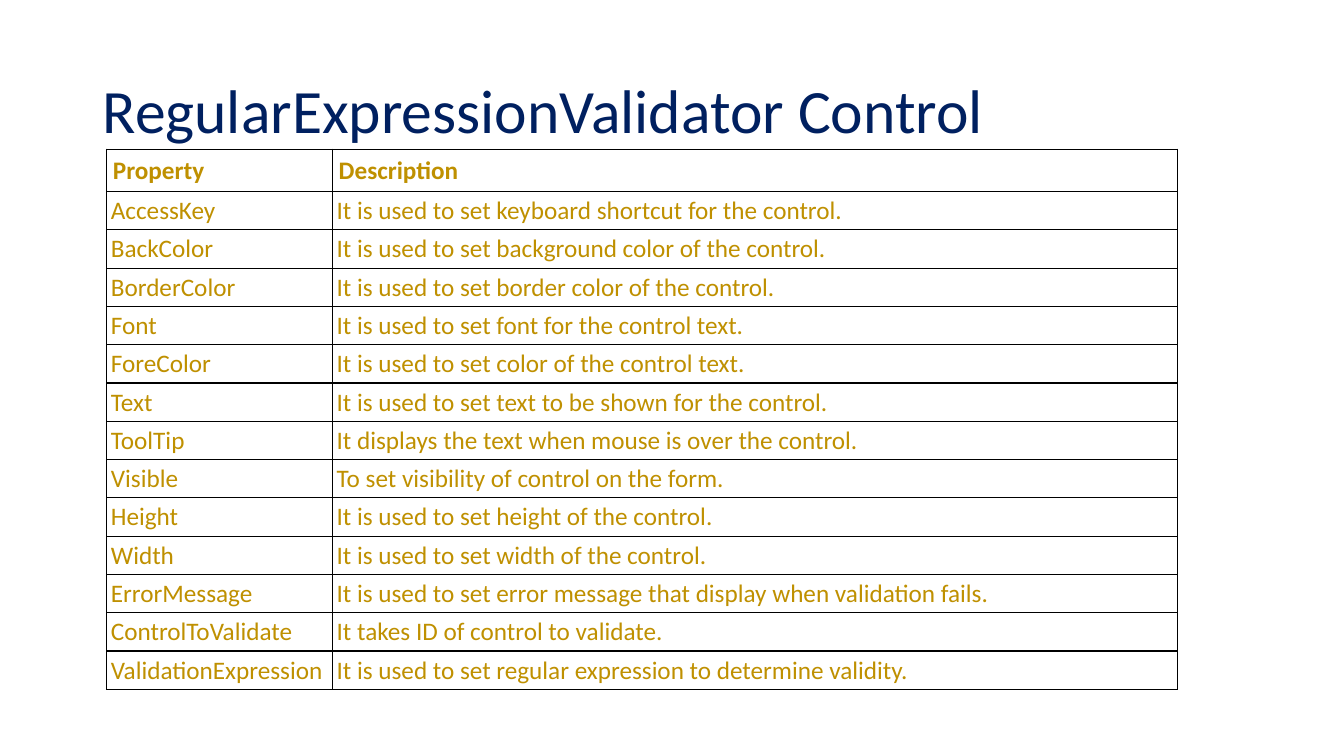
from lxml.etree import SubElement as Sub
from pptx import Presentation
from pptx.dml.color import RGBColor as RGB
from pptx.enum.text import MSO_ANCHOR as Anchor, PP_ALIGN as Align
from pptx.oxml.ns import qn
from pptx.util import Pt

PX = 9144  # 100 px to the inch
HUES = {"title": "002060", "text": "BF9000", "line": "000000"}
HEAD = ("Property", "Description")
ROWS = [
    ("AccessKey", "It is used to set keyboard shortcut for the control."),
    ("BackColor", "It is used to set background color of the control."),
    ("BorderColor", "It is used to set border color of the control."),
    ("Font", "It is used to set font for the control text."),
    ("ForeColor", "It is used to set color of the control text."),
    ("Text", "It is used to set text to be shown for the control."),
    ("ToolTip", "It displays the text when mouse is over the control."),
    ("Visible", "To set visibility of control on the form."),
    ("Height", "It is used to set height of the control."),
    ("Width", "It is used to set width of the control."),
    ("ErrorMessage", "It is used to set error message that display when validation fails."),
    ("ControlToValidate", "It takes ID of control to validate."),
    ("ValidationExpression", "It is used to set regular expression to determine validity."),
]


class Deck:
    def __init__(self, wide, high, face):
        self.show = Presentation()
        self.show.slide_width, self.show.slide_height = wide * PX, high * PX
        self.slide = self.show.slides.add_slide(self.show.slide_layouts[6])
        self.face = face

    def style(self, para, size, hue, bold=False):
        for run in para.runs:
            font = run.font
            font.name, font.size, font.bold = self.face, Pt(size), bold
            font.color.rgb = RGB.from_string(HUES[hue])

    def title(self, text, *box):
        frame = self.slide.shapes.add_textbox(*(n * PX for n in box)).text_frame
        frame.word_wrap = True
        frame.vertical_anchor = Anchor.MIDDLE
        frame.text = text
        frame.paragraphs[0].line_spacing = 0.9
        self.style(frame.paragraphs[0], 44, "title")

    def edge(self, cell):
        """Rule all four sides; the lines must come before the fill."""
        props = cell._tc.get_or_add_tcPr()
        for side in ("lnL", "lnR", "lnT", "lnB"):
            line = Sub(props, qn(f"a:{side}"), w=str(Pt(1)))
            fill = Sub(line, qn("a:solidFill"))
            Sub(fill, qn("a:srgbClr"), val=HUES["line"])

    def cell(self, cell, text, head):
        self.edge(cell)
        cell.fill.background()
        pad = (6 if head else 4) * PX
        cell.margin_left = cell.margin_right = pad
        cell.margin_top = cell.margin_bottom = pad
        cell.text = text
        para = cell.text_frame.paragraphs[0]
        para.alignment = Align.LEFT if head else Align.JUSTIFY
        self.style(para, 18, "text", head)

    def table(self, left, top, cols, tall, high, rows):
        """Draw rows with a first row of height tall and others of height high."""
        full = tall + high * (len(rows) - 1)
        grid = self.slide.shapes.add_table(
            len(rows), len(cols), left * PX, top * PX, sum(cols) * PX, full * PX).table
        grid.first_row = grid.horz_banding = False
        for col, wide in zip(grid.columns, cols):
            col.width = wide * PX
        for i, row in enumerate(rows):
            grid.rows[i].height = (high if i else tall) * PX
            for j, text in enumerate(row):
                self.cell(grid.cell(i, j), text, i == 0)


def main():
    deck = Deck(1333, 750, "Calibri")
    deck.title("RegularExpressionValidator Control", 92, 40, 1150, 145)
    deck.table(106, 148, (224, 838), 42, 38, [HEAD, *ROWS])
    deck.show.save("out.pptx")


if __name__ == "__main__":
    main()
